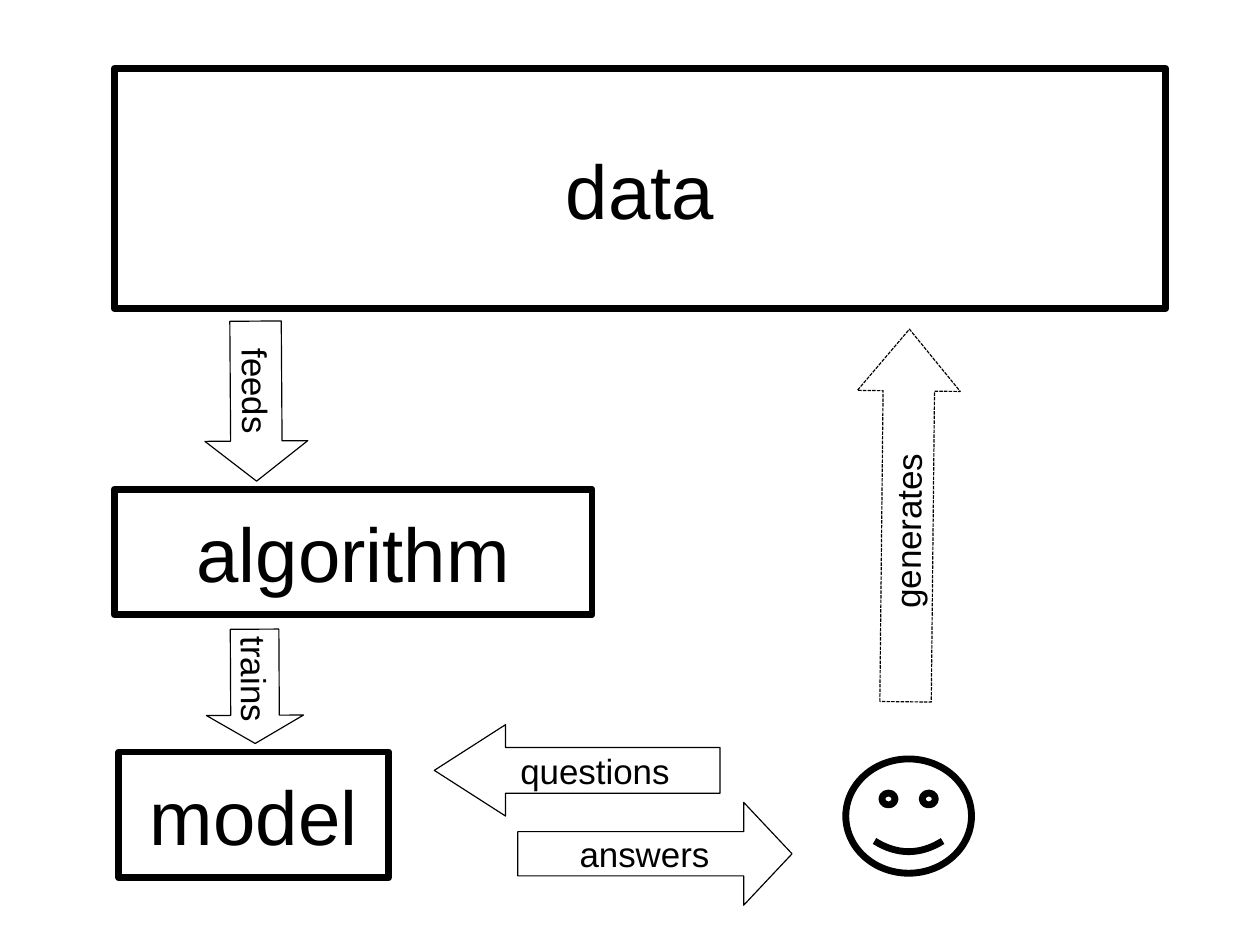
from pptx import Presentation
from pptx.dml.color import RGBColor
from pptx.enum import dml, shapes, text
from pptx.util import Inches, Pt

COLORS = {"ink": "000000"}
FONT = "Arial"
THICK, HAIRLINE = 4.31, 0
CM_PER_INCH = 2.54
MSO = shapes.MSO_SHAPE


def add_outline(s, kind, box, width):
    """Unfilled shape with a black outline."""
    sp = s.shapes.add_shape(kind, *map(Inches, box))
    sp.shadow.inherit = False
    sp.fill.background()
    sp.line.color.rgb = RGBColor.from_string(COLORS["ink"])
    sp.line.width = Pt(width)
    return sp


def set_label(sp, label, size, inset_x, inset_y):
    tf = sp.text_frame
    tf.text = label
    tf.word_wrap = False
    tf.vertical_anchor = text.MSO_ANCHOR.MIDDLE
    tf.margin_left = tf.margin_right = Inches(inset_x)
    tf.margin_top = tf.margin_bottom = Inches(inset_y)
    p = tf.paragraphs[0]
    p.alignment = text.PP_ALIGN.CENTER
    font = p.runs[0].font
    font.name, font.size = FONT, Pt(size)
    font.color.rgb = RGBColor.from_string(COLORS["ink"])


def add_stage(s, label, box):
    sp = add_outline(s, MSO.RECTANGLE, box, THICK)
    set_label(sp, label, 48, 0.13, 0.08)


def add_flow(s, label, box, shaft, head, kind=MSO.RIGHT_ARROW, rotation=0, dashed=False):
    sp = add_outline(s, kind, box, HAIRLINE)
    sp.adjustments[0], sp.adjustments[1] = shaft, head
    sp.rotation = rotation
    if dashed:
        sp.line.dash_style = dml.MSO_LINE.SQUARE_DOT
    set_label(sp, label, 22, 0.1, 0.05)


def add_user(s, box):
    add_outline(s, MSO.SMILEY_FACE, box, THICK)


def main():
    prs = Presentation()
    # Page of 28 by 21 cm
    prs.slide_width, prs.slide_height = Inches(28 / CM_PER_INCH), Inches(21 / CM_PER_INCH)
    s = prs.slides.add_slide(prs.slide_layouts[6])

    # Stages from data to model
    add_stage(s, "data", (1, 0.6, 9.2, 2.1))
    add_stage(s, "algorithm", (1, 4.28, 4.18, 1.1))
    add_stage(s, "model", (1.04, 6.58, 2.36, 1.1))

    # Downward flow
    add_flow(s, "feeds", (1.54, 3.06, 1.4, 0.9), 0.5, 0.39, rotation=89.6)
    add_flow(s, "trains", (1.73, 5.58, 1, 0.85), 0.5, 0.29, rotation=89.7)

    # User and the exchange with the model
    add_user(s, (7.4, 6.64, 1.1, 1))
    add_flow(s, "answers", (4.53, 7.02, 2.4, 0.9), 0.43, 0.47)
    add_flow(s, "questions", (3.8, 6.34, 2.5, 0.8), 0.5, 0.78, kind=MSO.LEFT_ARROW)

    # Feedback from user to data
    add_flow(s, "generates", (6.31, 4.06, 3.26, 0.9), 0.5, 0.6, rotation=270.6, dashed=True)

    prs.save("out.pptx")


if __name__ == "__main__":
    main()
